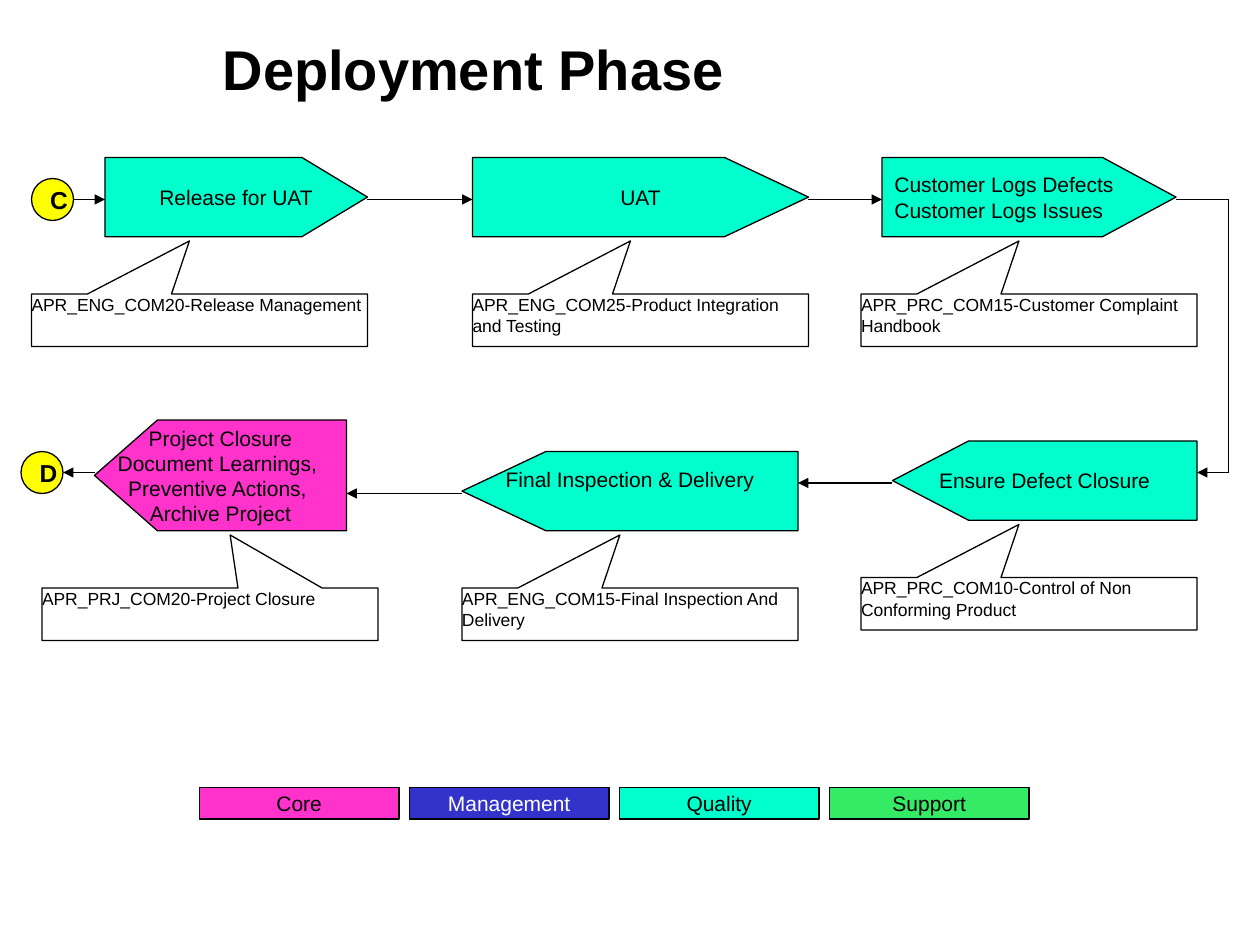
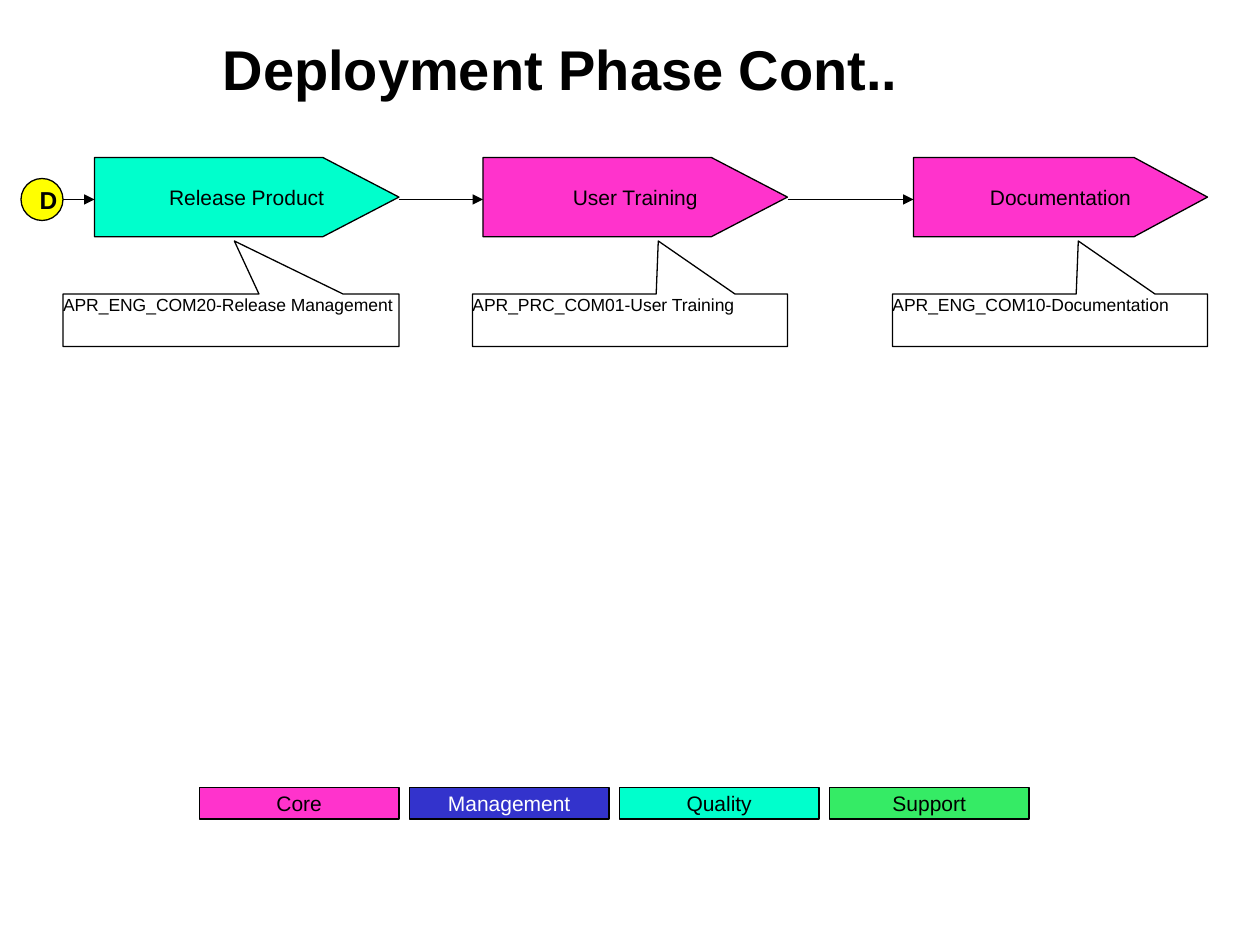
from dataclasses import dataclass

from lxml.etree import SubElement
from pptx import Presentation
from pptx.dml.color import RGBColor
from pptx.enum.shapes import MSO_CONNECTOR, MSO_SHAPE
from pptx.enum.text import MSO_ANCHOR, MSO_AUTO_SIZE, PP_ALIGN
from pptx.oxml.ns import qn
from pptx.util import Emu, Inches, Pt

# Shared look
FONT = "Arial"
BLACK = RGBColor(0x00, 0x00, 0x00)
WHITE = RGBColor(0xFF, 0xFF, 0xFF)
CORE = RGBColor(0xFF, 0x33, 0xCC)
MANAGEMENT = RGBColor(0x33, 0x33, 0xCC)
QUALITY = RGBColor(0x00, 0xFF, 0xCC)
SUPPORT = RGBColor(0x35, 0xEB, 0x65)
MARKER_YELLOW = RGBColor(0xFF, 0xFF, 0x00)
OUTLINE = Pt(0.75)

# Grid: 120 columns by 90 rows
SLIDE_WIDTH, SLIDE_HEIGHT = Inches(10), Inches(7.5)
COLUMN, ROW = SLIDE_WIDTH / 120, SLIDE_HEIGHT / 90
STAGE_ROWS = 7.55
CALLOUT_ROWS = 5
MARKER_SPAN = 4
SHOULDER = 0.75  # share of a stage's width before its point starts
LEGEND_LEFT, LEGEND_TOP, LEGEND_WIDTH, LEGEND_STEP = 19, 75, 19, 20


@dataclass(frozen=True)
class Stage:
    left: float
    top: float
    width: float
    lines: tuple[str, ...]
    fill: RGBColor = QUALITY
    height: float = STAGE_ROWS
    points_left: bool = False
    align: PP_ALIGN = PP_ALIGN.CENTER
    bottom_inset: float = 0.05


@dataclass(frozen=True)
class Callout:
    left: float
    top: float
    label: str
    width: float = 32
    tip: float = -0.03  # share of the width, from the centre


@dataclass(frozen=True)
class Link:
    begin: tuple[float, float]
    end: tuple[float, float]
    arrow: bool = True


@dataclass(frozen=True)
class Marker:
    left: float
    top: float
    letter: str


@dataclass(frozen=True)
class Phase:
    title: str
    stages: tuple[Stage, ...]
    callouts: tuple[Callout, ...]
    links: tuple[Link, ...]
    markers: tuple[Marker, ...]


LEGEND = (
    ("Core", CORE, BLACK),
    ("Management", MANAGEMENT, WHITE),
    ("Quality", QUALITY, BLACK),
    ("Support", SUPPORT, BLACK),
)

PHASES = (
    Phase(
        "Deployment Phase",
        stages=(
            Stage(10, 15, 25, ("Release for UAT",)),
            Stage(45, 15, 32, ("UAT",)),
            Stage(84, 15, 28, ("Customer Logs Defects", "Customer Logs Issues"),
                  align=PP_ALIGN.LEFT),
            Stage(85, 42, 29, ("Ensure Defect Closure",), points_left=True),
            Stage(44, 43, 32, ("Final Inspection & Delivery",),
                  points_left=True, bottom_inset=0.24),
            Stage(9, 40, 24,
                  ("Project Closure", "Document Learnings, ",
                   "Preventive Actions, ", "Archive Project"),
                  fill=CORE, height=10.55, points_left=True),
        ),
        callouts=(
            Callout(3, 28, "APR_ENG_COM20-Release Management"),
            Callout(45, 28, "APR_ENG_COM25-Product Integration and Testing"),
            Callout(82, 28, "APR_PRC_COM15-Customer Complaint Handbook"),
            Callout(82, 55, "APR_PRC_COM10-Control of Non Conforming Product"),
            Callout(44, 56, "APR_ENG_COM15-Final Inspection And Delivery"),
            Callout(4, 56, "APR_PRJ_COM20-Project Closure", tip=0.06),
        ),
        links=(
            Link((7, 19), (10, 19)),
            Link((35, 19), (45, 19)),
            Link((77, 19), (84, 19)),
            Link((112, 19), (117, 19), arrow=False),
            Link((117, 19), (117, 45), arrow=False),
            Link((117, 45), (114, 45)),
            Link((85, 46), (76, 46)),
            Link((44, 47), (33, 47)),
            Link((9, 45), (6, 45)),
        ),
        markers=(Marker(3, 17, "C"), Marker(2, 43, "D")),
    ),
    Phase(
        "Deployment Phase Cont..",
        stages=(
            Stage(9, 15, 29, ("Release Product",)),
            Stage(46, 15, 29, ("User Training",), CORE),
            Stage(87, 15, 28, ("Documentation",), CORE),
        ),
        callouts=(
            Callout(6, 28, "APR_ENG_COM20-Release Management", tip=0.01),
            Callout(45, 28, "APR_PRC_COM01-User Training", width=30, tip=0.09),
            Callout(85, 28, "APR_ENG_COM10-Documentation", width=30, tip=0.09),
        ),
        links=(
            Link((6, 19), (9, 19)),
            Link((38, 19), (46, 19)),
            Link((75, 19), (87, 19)),
        ),
        markers=(Marker(2, 17, "D"),),
    ),
)


def x(columns: float) -> Emu:
    return Emu(round(columns * COLUMN))


def y(rows: float) -> Emu:
    return Emu(round(rows * ROW))


def write(shape, lines: tuple[str, ...], size: float, color: RGBColor = BLACK,
          bold: bool = False, align: PP_ALIGN = PP_ALIGN.CENTER,
          anchor: MSO_ANCHOR = MSO_ANCHOR.MIDDLE, wrap: bool = False) -> None:
    frame = shape.text_frame
    frame.word_wrap = wrap
    frame.vertical_anchor = anchor
    for index, line in enumerate(lines):
        paragraph = frame.add_paragraph() if index else frame.paragraphs[0]
        paragraph.alignment = align
        run = paragraph.add_run()
        run.text = line
        run.font.name, run.font.size, run.font.bold = FONT, Pt(size), bold
        run.font.color.rgb = color


def paint(shape, fill: RGBColor | None) -> None:
    shape.shadow.inherit = False
    if fill is None:
        shape.fill.background()
    else:
        shape.fill.solid()
        shape.fill.fore_color.rgb = fill
    shape.line.color.rgb = BLACK
    shape.line.width = OUTLINE


def add_preset(slide, preset: MSO_SHAPE, left: float, top: float, width: float,
               height: float, fill: RGBColor | None):
    shape = slide.shapes.add_shape(preset, x(left), y(top), x(width), y(height))
    paint(shape, fill)
    return shape


def add_title(slide, title: str) -> None:
    heading = slide.shapes.title
    heading.left, heading.top = x(20), y(2)
    heading.width, heading.height = x(98), y(9)
    heading.text_frame.auto_size = MSO_AUTO_SIZE.NONE
    write(heading, (title,), 32, bold=True, align=PP_ALIGN.LEFT, wrap=True)


def add_stage(slide, stage: Stage) -> None:
    back, direction = stage.left, 1
    if stage.points_left:
        back, direction = stage.left + stage.width, -1
    shoulder = x(back + direction * SHOULDER * stage.width)
    tip = x(back + direction * stage.width)
    top, bottom = y(stage.top), y(stage.top + stage.height)
    outline = slide.shapes.build_freeform(x(back), top)
    outline.add_line_segments(
        ((shoulder, top), (tip, (top + bottom) // 2),
         (shoulder, bottom), (x(back), bottom)), close=True)
    arrow_box = outline.convert_to_shape()
    paint(arrow_box, stage.fill)
    write(arrow_box, stage.lines, 12, align=stage.align)
    arrow_box.text_frame.margin_bottom = Inches(stage.bottom_inset)


def add_callout(slide, callout: Callout) -> None:
    note = add_preset(slide, MSO_SHAPE.RECTANGULAR_CALLOUT, callout.left,
                      callout.top, callout.width, CALLOUT_ROWS, None)
    note.adjustments[0], note.adjustments[1] = callout.tip, -1.51
    frame = note.text_frame
    frame.margin_left = frame.margin_right = 0
    frame.margin_top = frame.margin_bottom = 0
    write(note, (callout.label,), 10, align=PP_ALIGN.LEFT,
          anchor=MSO_ANCHOR.TOP, wrap=True)


def add_link(slide, link: Link) -> None:
    (begin_x, begin_y), (end_x, end_y) = link.begin, link.end
    line = slide.shapes.add_connector(
        MSO_CONNECTOR.STRAIGHT, x(begin_x), y(begin_y), x(end_x), y(end_y))
    line.line.color.rgb = BLACK
    line.line.width = OUTLINE
    if link.arrow:
        SubElement(line.line._get_or_add_ln(), qn("a:tailEnd"), type="triangle")
    SubElement(line._element.spPr, qn("a:effectLst"))


def add_marker(slide, marker: Marker) -> None:
    circle = add_preset(slide, MSO_SHAPE.FLOWCHART_CONNECTOR, marker.left,
                        marker.top, MARKER_SPAN, MARKER_SPAN, MARKER_YELLOW)
    write(circle, (marker.letter,), 14, bold=True, wrap=True)


def add_legend(slide) -> None:
    for index, (category, fill, text_color) in enumerate(LEGEND):
        key = add_preset(slide, MSO_SHAPE.RECTANGLE,
                         LEGEND_LEFT + index * LEGEND_STEP, LEGEND_TOP,
                         LEGEND_WIDTH, 3, fill)
        write(key, (category,), 12, text_color)


def add_phase(presentation, phase: Phase) -> None:
    slide = presentation.slides.add_slide(presentation.slide_layouts[5])
    add_title(slide, phase.title)
    # Process steps and the documents behind them
    for stage in phase.stages:
        add_stage(slide, stage)
    for callout in phase.callouts:
        add_callout(slide, callout)
    # Flow between steps and on to other slides
    for link in phase.links:
        add_link(slide, link)
    for marker in phase.markers:
        add_marker(slide, marker)
    add_legend(slide)


def main() -> None:
    presentation = Presentation()
    presentation.slide_width = SLIDE_WIDTH
    presentation.slide_height = SLIDE_HEIGHT
    for phase in PHASES:
        add_phase(presentation, phase)
    presentation.save("out.pptx")


if __name__ == "__main__":
    main()
